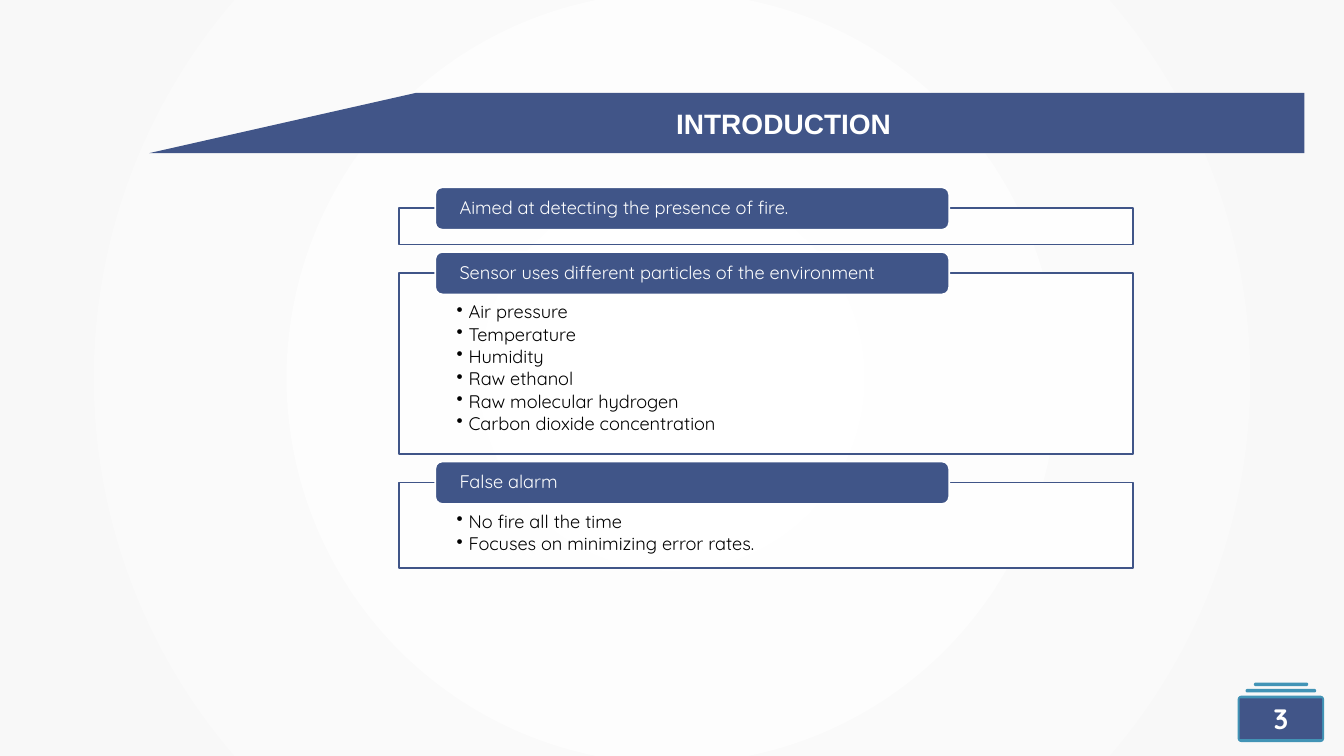
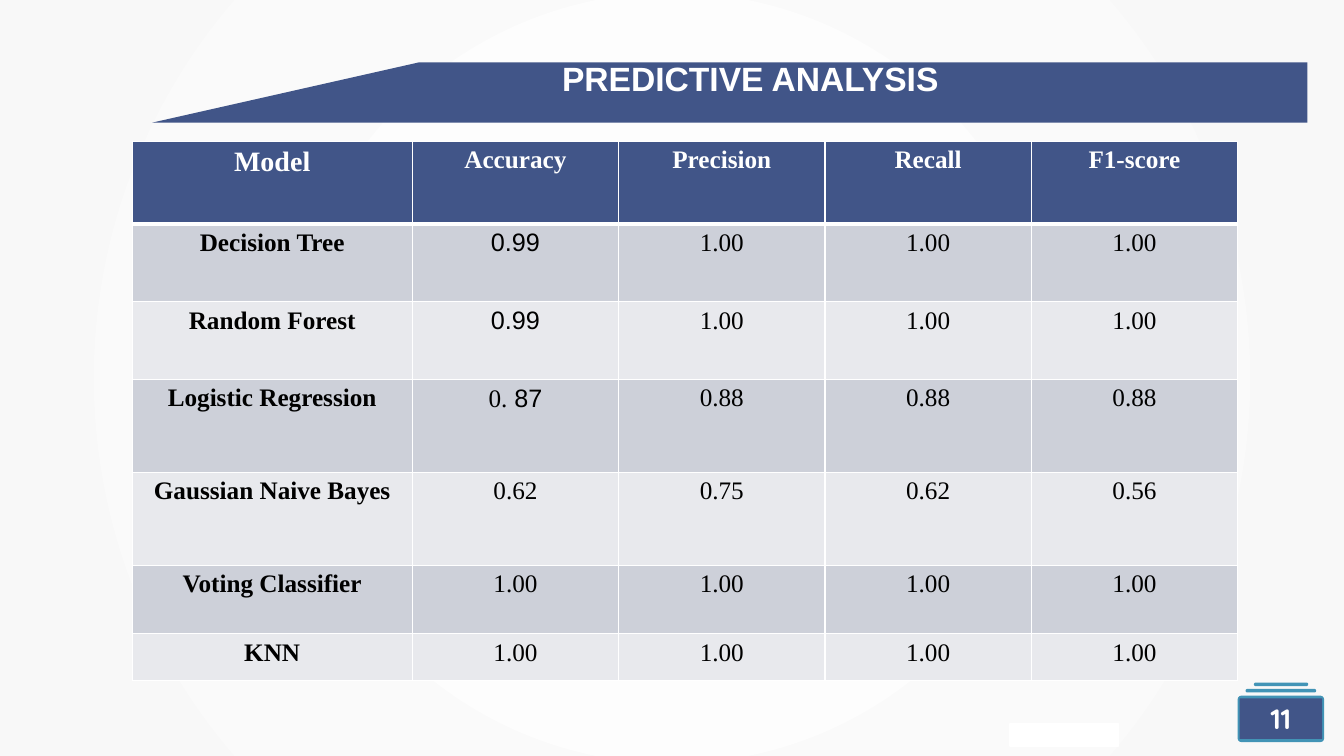
from lxml import etree
from pptx import Presentation
from pptx.dml.color import RGBColor
from pptx.enum import shapes, text
from pptx.oxml.ns import qn
from pptx.util import Cm, Pt

NAVY = "415588"
SECTION_BLUE = "405588"
TEAL = "4294B6"
WHITE = "FFFFFF"
BLACK = "000000"
PALE = "F8F8F8"
ROW_FILLS = ("CDD0D9", "E8E9ED")

SANS = "Arial"
ROUNDED = "Quicksand"
SERIF = "Times New Roman"

LEFT, CENTER = text.PP_ALIGN.LEFT, text.PP_ALIGN.CENTER
TOP, MIDDLE = text.MSO_ANCHOR.TOP, text.MSO_ANCHOR.MIDDLE
RECT = shapes.MSO_SHAPE.RECTANGLE
ROUND_RECT = shapes.MSO_SHAPE.ROUNDED_RECTANGLE

SECTIONS = [
    ("Aimed at detecting the presence of fire.", 0.91, []),
    ("Sensor uses different particles of the environment", 4.56, [
        "Air pressure", "Temperature", "Humidity", "Raw ethanol",
        "Raw molecular hydrogen", "Carbon dioxide concentration"]),
    ("False alarm", 2.16, [
        "No fire all the time", "Focuses on minimizing error rates."]),
]

# A cell is a string, or a list of (text, font) runs.
SCORES = [
    ["Model", "Accuracy", "Precision", "Recall", "F1-score"],
    ["Decision Tree", [("0.99", SANS)], "1.00", "1.00", "1.00"],
    ["Random Forest", [("0.99", SANS)], "1.00", "1.00", "1.00"],
    ["Logistic Regression", [("0.", SERIF), (" 87", SANS)], "0.88", "0.88", "0.88"],
    ["Gaussian Naive Bayes", "0.62", "0.75", "0.62", "0.56"],
    ["Voting Classifier", "1.00", "1.00", "1.00", "1.00"],
    ["KNN", "1.00", "1.00", "1.00", "1.00"],
]
COLUMN_WIDTHS = [7.06] + [5.2] * 4
ROW_HEIGHTS = [2.08, 1.96, 1.96, 2.34, 2.34, 1.73, 1.17]


def color(hex_code):
    return RGBColor.from_string(hex_code)


def add_bullet(paragraph, indent):
    props = paragraph._p.get_or_add_pPr()
    props.set("marL", str(Cm(indent)))
    props.set("indent", str(-Cm(indent)))
    etree.SubElement(props, qn("a:buChar")).set("char", "•")


def write(frame, lines, font=ROUNDED, size=13, ink=BLACK, bold=False, align=LEFT,
          anchor=TOP, insets=(0.25, 0.13, 0.25, 0.13), spacing=None, before=0,
          bullet_indent=None):
    """Fill a text frame; a line is a string or a list of (text, font) runs."""
    frame.word_wrap = True
    frame.vertical_anchor = anchor
    (frame.margin_left, frame.margin_top,
     frame.margin_right, frame.margin_bottom) = map(Cm, insets)
    for index, line in enumerate(lines):
        paragraph = frame.add_paragraph() if index else frame.paragraphs[0]
        paragraph.alignment = align
        if spacing:
            paragraph.line_spacing = spacing
        paragraph.space_before = Pt(before if index else 0)
        if bullet_indent:
            add_bullet(paragraph, bullet_indent)
        for words, run_font in [(line, font)] if isinstance(line, str) else line:
            run = paragraph.add_run()
            run.text = words
            run.font.name = run_font
            run.font.size = Pt(size)
            run.font.bold = bold
            run.font.color.rgb = color(ink)


def paint(shape, fill, line=None, opacity=None):
    shape.shadow.inherit = False
    shape.fill.solid()
    shape.fill.fore_color.rgb = color(fill)
    if opacity:
        tint = shape.fill._xPr.find(qn("a:solidFill"))[0]
        etree.SubElement(tint, qn("a:alpha")).set("val", str(opacity * 1000))
    if line:
        shape.line.color.rgb = color(line)
        shape.line.width = Pt(1.25)
    else:
        shape.line.fill.background()


def add_box(slide, box, fill, line=None, corner=None, opacity=None):
    """Draw a rectangle, rounded when a corner ratio is given."""
    kind = RECT if corner is None else ROUND_RECT
    shape = slide.shapes.add_shape(kind, *map(Cm, box))
    if corner is not None:
        shape.adjustments[0] = corner
    paint(shape, fill, line, opacity)
    return shape


def set_background(master):
    """Give every slide a white glow that fades outwards."""
    fill = master.background.fill
    fill.gradient()
    for stop, hex_code, position in zip(fill.gradient_stops, (WHITE, PALE), (0, 1)):
        stop.color.rgb = color(hex_code)
        stop.position = position
    gradient = master.element.find(".//" + qn("a:gradFill"))
    for linear in gradient.findall(qn("a:lin")):
        gradient.remove(linear)
    glow = etree.SubElement(gradient, qn("a:path"))
    glow.set("path", "circle")
    center = etree.SubElement(glow, qn("a:fillToRect"))
    for side in "ltrb":
        center.set(side, "50000")


def add_band(slide, left, top):
    """Draw the title band with its slanted left end."""
    right, bottom, shoulder = left + 29.11, top + 1.52, left + 6.73
    outline = slide.shapes.build_freeform(Cm(left), Cm(bottom))
    outline.add_line_segments(
        [(Cm(x), Cm(y)) for x, y in ((shoulder, top), (right, top), (right, bottom))])
    paint(outline.convert_to_shape(), NAVY)


def add_title(slide, title, box, size, align):
    frame = slide.shapes.add_textbox(*map(Cm, box)).text_frame
    write(frame, [title], font=SANS, size=size, ink=WHITE, bold=True,
          align=align, spacing=0.9)


def add_page_badge(slide, number):
    """Draw the stack of cards that carries the page number."""
    for left, top, width in ((31.6, 17.2, 1.37), (31.39, 17.36, 1.78)):
        add_box(slide, (left, top, width, 0.09), TEAL, corner=0.5)
    add_box(slide, (31.19, 17.53, 2.18, 1.17), TEAL, corner=0.08)
    card = add_box(slide, (31.24, 17.6, 2.08, 1.02), NAVY)
    write(card.text_frame, [str(number)], size=20, ink=WHITE, bold=True,
          align=CENTER, anchor=MIDDLE)


def add_section(slide, heading, points, top, height):
    frame = add_box(slide, (10.06, top, 18.49, height), WHITE, SECTION_BLUE, opacity=90)
    if points:
        write(frame.text_frame, points, insets=(1.45, 0.76, 1.45, 0.25),
              spacing=0.9, before=1.9, bullet_indent=0.3)
    label = add_box(slide, (10.97, top - 0.53, 12.95, 1.07), SECTION_BLUE, WHITE,
                    corner=0.167)
    write(label.text_frame, [heading], ink=WHITE, anchor=MIDDLE,
          insets=(0.56, 0, 0.56, 0), spacing=0.9)


def add_borders(cell, **widths):
    """Draw white cell borders; call before the cell is filled."""
    props = cell._tc.get_or_add_tcPr()
    for side in "LRTB":
        border = etree.SubElement(props, qn("a:ln" + side))
        border.set("w", str(Pt(widths.get(side, 1))))
        solid = etree.SubElement(border, qn("a:solidFill"))
        etree.SubElement(solid, qn("a:srgbClr")).set("val", WHITE)


def add_score_table(slide, left, top):
    table = slide.shapes.add_table(
        len(SCORES), len(COLUMN_WIDTHS), Cm(left), Cm(top),
        Cm(sum(COLUMN_WIDTHS)), Cm(sum(ROW_HEIGHTS))).table
    table.first_row = table.horz_banding = False
    for column, width in zip(table.columns, COLUMN_WIDTHS):
        column.width = Cm(width)
    for r, (scores, height) in enumerate(zip(SCORES, ROW_HEIGHTS)):
        table.rows[r].height = Cm(height)
        header = r == 0
        for c, score in enumerate(scores):
            cell = table.cell(r, c)
            add_borders(cell, B=3 if header else 1, T=3 if r == 1 else 1)
            cell.fill.solid()
            cell.fill.fore_color.rgb = color(NAVY if header else ROW_FILLS[(r - 1) % 2])
            write(cell.text_frame, [score], font=SERIF, align=CENTER,
                  size=20 if header and c == 0 else 18,
                  ink=WHITE if header else BLACK, bold=header or c == 0)


def build_introduction(slide):
    add_page_badge(slide, 3)
    add_band(slide, 3.76, 2.34)
    add_title(slide, "INTRODUCTION", (16.79, 2.64, 9.3, 0.97), 20, LEFT)
    top, gap = 5.25, 0.72
    for heading, height, points in SECTIONS:
        add_section(slide, heading, points, top, height)
        top += height + gap


def build_analysis(slide):
    add_box(slide, (25.45, 18.24, 2.74, 0.56), WHITE, WHITE)
    add_band(slide, 3.84, 1.57)
    add_title(slide, "PREDICTIVE ANALYSIS", (4.98, 1.45, 27.86, 1.6), 24, CENTER)
    add_page_badge(slide, 11)
    add_score_table(slide, 3.33, 3.56)


def main():
    deck = Presentation()
    deck.slide_width, deck.slide_height = Cm(33.87), Cm(19.05)
    set_background(deck.slide_master)
    blank = deck.slide_layouts[6]
    for build in (build_introduction, build_analysis):
        build(deck.slides.add_slide(blank))
    deck.save("out.pptx")


if __name__ == "__main__":
    main()
